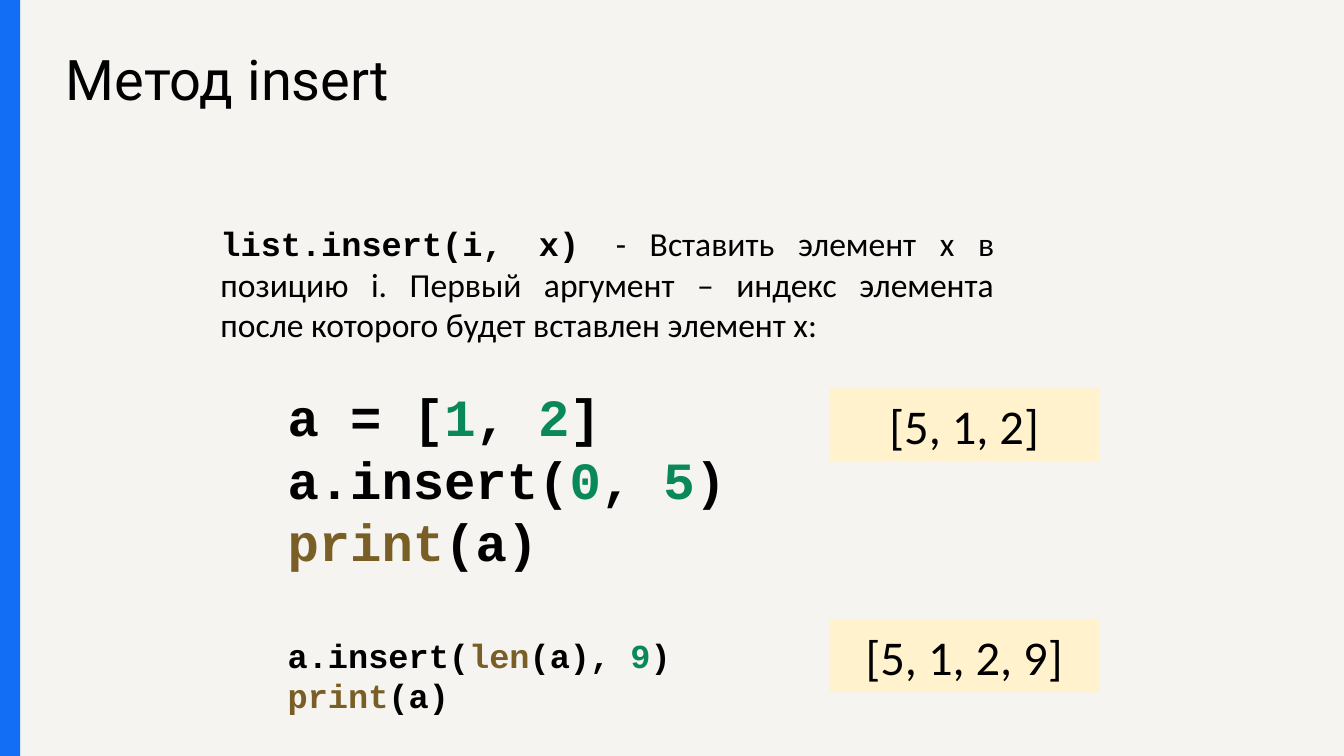
import pptx
import pptx.util
import pptx.dml.color
import pptx.enum.shapes
import pptx.enum.text
import pptx.oxml.ns
import lxml.etree

Inches, Pt = pptx.util.Inches, pptx.util.Pt
ALIGN = pptx.enum.text.PP_ALIGN
ANCHOR = pptx.enum.text.MSO_ANCHOR

# Content
COLORS = {"paper": "F5F4F0", "stripe": "136EF6", "result": "FFF2CC",
          "plain": "000000", "number": "09885A", "builtin": "795E26"}
TITLE = "Метод insert"
SIGNATURE = "list.insert(i, x) "
MEANING = ("- Вставить элемент x в позицию i. Первый аргумент – индекс "
           "элемента после которого будет вставлен элемент x:")
PRINT = [("print", "builtin"), ("(a)", "plain")]
# Code blocks: text size, gap above in points, lines of coloured pieces
CODE = [
    (28, 21.5, [
        [("a = [", "plain"), ("1", "number"), (", ", "plain"),
         ("2", "number"), ("]", "plain")],
        [("a.insert(", "plain"), ("0", "number"), (", ", "plain"),
         ("5", "number"), (")", "plain")],
        PRINT]),
    (18, 33.5, [
        [("a.insert(", "plain"), ("len", "builtin"), ("(a), ", "plain"),
         ("9", "number"), (")", "plain")],
        PRINT]),
]
# Results: text and top edge
RESULTS = [("[5, 1, 2]", 2.89), ("[5, 1, 2, 9]", 4.61)]
LINE_RATIO = 1.2


def color(name):
    return pptx.dml.color.RGBColor.from_string(COLORS[name])


def place(shape, left, top, width, height):
    shape.left, shape.top = Inches(left), Inches(top)
    shape.width, shape.height = Inches(width), Inches(height)


def style(span, font, size, name="plain", bold=False):
    span.font.name, span.font.size, span.font.bold = font, Pt(size), bold
    span.font.color.rgb = color(name)


def add_span(para, text, *look):
    span = para.add_run()
    span.text = text
    style(span, *look)


def set_layout(para, size, gap=0, indent=0):
    """Drop the bullet, set the left indent and the spacing."""
    props = para._p.get_or_add_pPr()
    props.set("marL", str(Inches(indent)))
    props.set("indent", "0")
    para.space_before, para.space_after = Pt(gap), Pt(0)
    para.line_spacing = Pt(size * LINE_RATIO)
    lxml.etree.SubElement(props, pptx.oxml.ns.qn("a:buNone"))


def add_block(page, fill, *area):
    block = page.shapes.add_shape(
        pptx.enum.shapes.MSO_SHAPE.RECTANGLE, *map(Inches, area))
    block.shadow.inherit = False
    block.fill.solid()
    block.fill.fore_color.rgb = color(fill)
    block.line.fill.background()
    return block


# Widescreen page, 16 to 9
deck = pptx.Presentation()
deck.slide_width = Inches(10)
deck.slide_height = deck.slide_width * 9 // 16
page = deck.slides.add_slide(deck.slide_layouts[1])
page.background.fill.solid()
page.background.fill.fore_color.rgb = color("paper")
title, body = page.placeholders

# Title and side stripe
place(title, 0.39, 0.23, 8.44, 1.02)
frame = title.text_frame
frame.text = TITLE
frame.vertical_anchor = ANCHOR.TOP
frame.margin_left = frame.margin_right = Inches(0.1)
frame.margin_top = frame.margin_bottom = Inches(0.1)
frame.paragraphs[0].alignment = ALIGN.LEFT
style(frame.paragraphs[0].runs[0], "Roboto", 30)
add_block(page, "stripe", 0, -0.01, 0.15, 5.65)

# Explanation
place(body, 1.54, 1.44, 5.96, 4.27)
frame = body.text_frame
frame.auto_size = pptx.enum.text.MSO_AUTO_SIZE.NONE
frame.vertical_anchor = ANCHOR.TOP
frame.margin_top = Inches(0.22)
para = frame.paragraphs[0]
para.alignment = ALIGN.JUSTIFY
set_layout(para, 18)
add_span(para, SIGNATURE, "Courier New", 18, "plain", True)
add_span(para, MEANING, "Calibri", 18)

# Code
for size, gap, lines in CODE:
    for number, pieces in enumerate(lines):
        para = frame.add_paragraph()
        para.level = 1
        set_layout(para, size, 0 if number else gap, 0.5)
        for text, name in pieces:
            add_span(para, text, "Courier New", size, name, True)

# Printed results
for text, top in RESULTS:
    block = add_block(page, "result", 6.17, top, 2.01, 0.54)
    block.text_frame.text = text
    block.text_frame.vertical_anchor = ANCHOR.MIDDLE
    para = block.text_frame.paragraphs[0]
    para.alignment = ALIGN.CENTER
    style(para.runs[0], "Calibri", 26)

deck.save("out.pptx")
